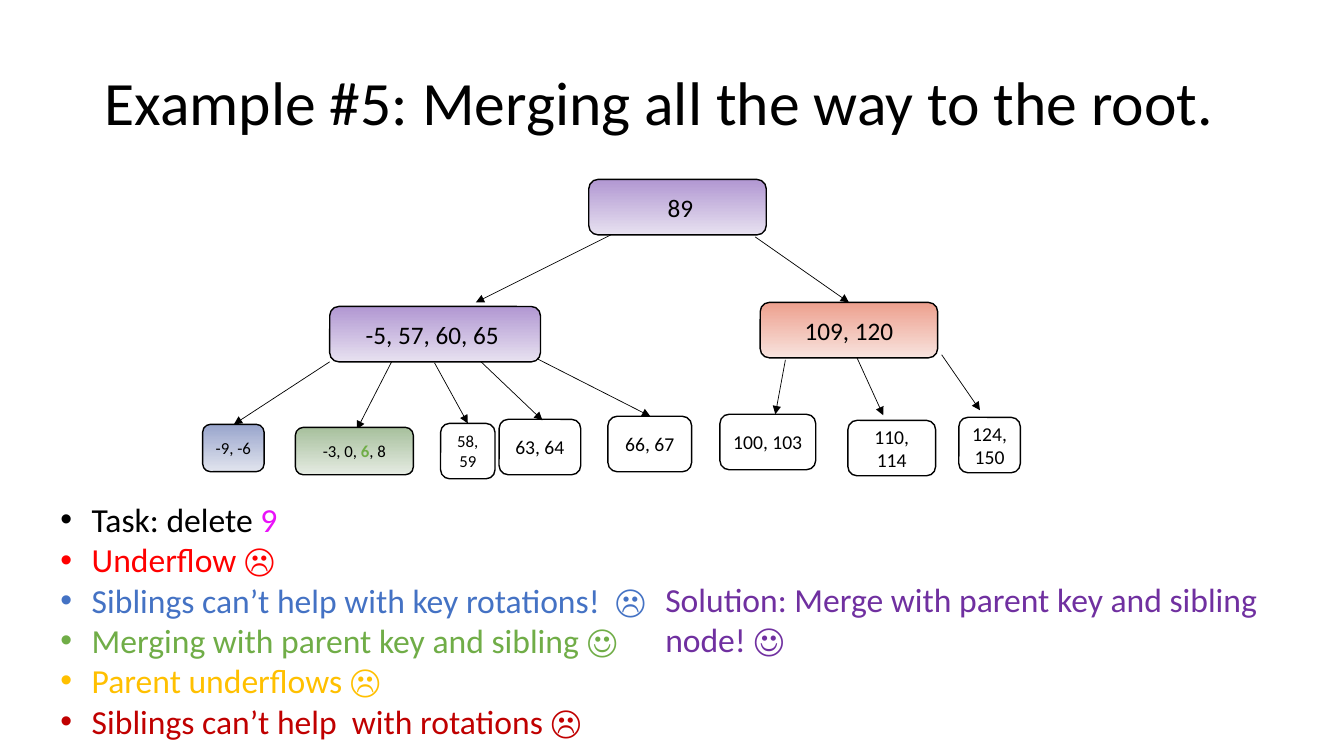
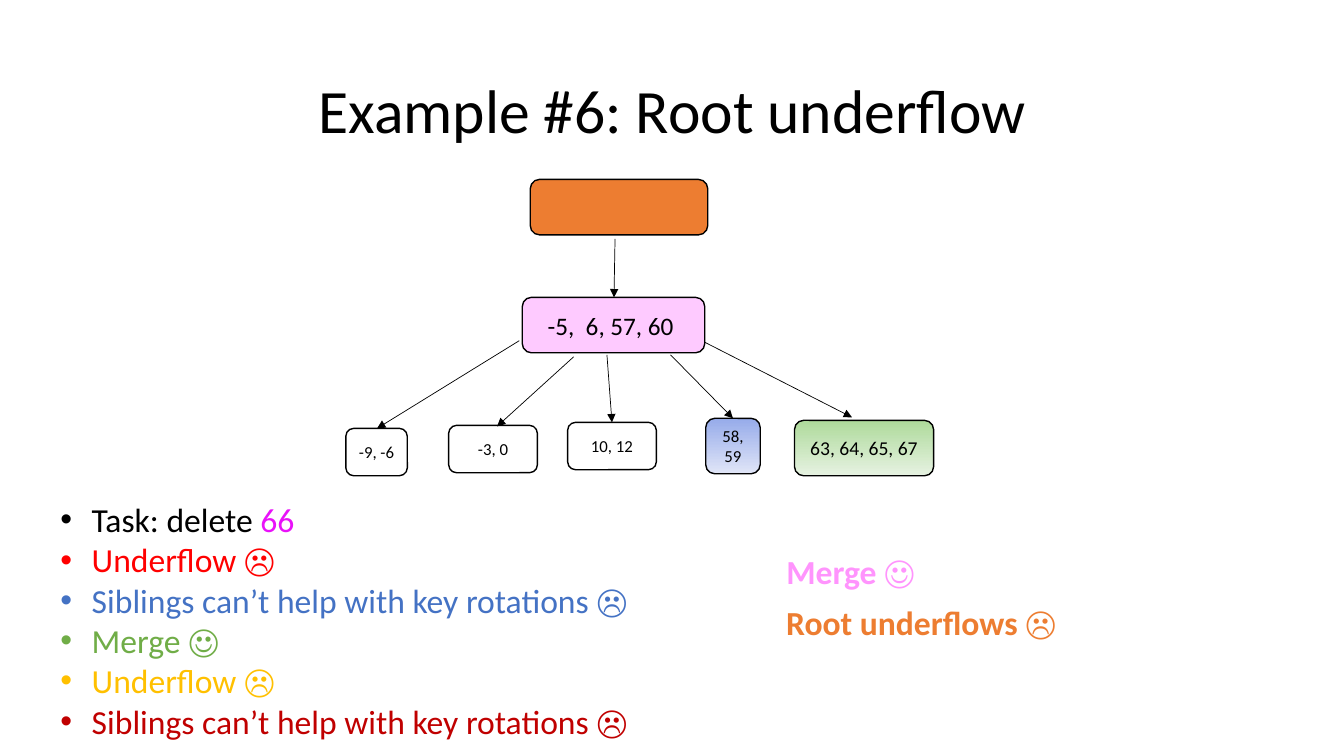
from lxml import etree
from pptx import Presentation
from pptx import util as u
from pptx.dml.color import RGBColor
from pptx.enum import shapes, text
from pptx.oxml import ns

COLOURS = {
    "black": "000000", "magenta": "E911F9", "red": "FF0000", "blue": "4472C4",
    "green": "70AD47", "gold": "FFC000", "crimson": "C00000", "purple": "7030A0",
    "orange": "ED7D31", "pink": "FF94FD", "pale pink": "FECAFF",
}
GRADIENTS = {
    "lilac": ("B197D2", "E7E1F0"), "coral": ("EDA08E", "F8E3DE"),
    "slate": ("99A5CC", "E1E4EE"), "sage": ("A7C09D", "E5EBE2"),
    "sky": ("96ABEA", "E0E5F7"), "leaf": ("AEDA9B", "E6F2E1"),
}
FONT = "Calibri"
COLUMN = ROW = u.Inches(0.1)
TALL, SHORT = 5.5, 4.7
LINE_COLOURS = ["red", "blue", "green", "gold", "crimson"]


def grid(left, top, width, height):
    return [round(left * COLUMN), round(top * ROW), round(width * COLUMN), round(height * ROW)]


def rgb(name):
    return RGBColor.from_string(COLOURS[name])


class TreeDeck:
    def __init__(self):
        self.presentation = Presentation()
        self.presentation.slide_width = u.Inches(13.33)
        self.presentation.slide_height = u.Inches(7.5)
        self.slide = None

    def add_slide(self, title, left, top):
        self.slide = self.presentation.slides.add_slide(self.presentation.slide_layouts[1])
        shape = self.slide.shapes.title
        self.place(shape, left, top, 115, 14.5)
        frame = shape.text_frame
        frame.vertical_anchor = text.MSO_ANCHOR.MIDDLE
        paragraph = frame.paragraphs[0]
        paragraph.alignment = text.PP_ALIGN.CENTER
        paragraph.line_spacing = 0.9
        self.add_runs(paragraph, 44, [(title, "black")])

    def place(self, shape, *box):
        shape.left, shape.top, shape.width, shape.height = grid(*box)

    def add_runs(self, paragraph, size, runs, bold=False):
        for words, colour, *strong in runs:
            run = paragraph.add_run()
            run.text = words
            run.font.name = FONT
            run.font.size = u.Pt(size)
            run.font.bold = bold or bool(strong)
            run.font.color.rgb = rgb(colour)

    def bullets(self, width, deleted_key, lines):
        shape = self.slide.placeholders[1]
        self.place(shape, 5, 49, width, 25.2)
        frame = shape.text_frame
        frame.auto_size = text.MSO_AUTO_SIZE.NONE
        items = [[("Task: delete ", "black"), (deleted_key, "magenta")]]
        items += [[item] for item in zip(lines, LINE_COLOURS)]
        for index, runs in enumerate(items):
            paragraph = frame.add_paragraph() if index else frame.paragraphs[0]
            paragraph.space_before = u.Pt(0)
            properties = paragraph._p.get_or_add_pPr()
            properties.set("marL", str(u.Inches(0.31)))
            properties.set("indent", str(-u.Inches(0.31)))
            etree.SubElement(properties, ns.qn("a:buFont")).set("typeface", "Arial")
            etree.SubElement(properties, ns.qn("a:buChar")).set("char", "•")
            self.add_runs(paragraph, 24, runs)

    def label(self, words, colour, box, bold=False):
        frame = self.slide.shapes.add_textbox(*grid(*box)).text_frame
        frame.word_wrap = True
        self.add_runs(frame.paragraphs[0], 24, [(words, colour)], bold)

    def node(self, keys, size, left, top, width, height=TALL, fill=None):
        shape = self.slide.shapes.add_shape(
            shapes.MSO_SHAPE.ROUNDED_RECTANGLE, *grid(left, top, width, height))
        shape.shadow.inherit = False
        shape.line.color.rgb = rgb("black")
        shape.line.width = u.Pt(1)
        if fill in GRADIENTS:
            shape.fill.gradient()
            shape.fill.gradient_angle = 270
            for stop, colour in zip(shape.fill.gradient_stops, GRADIENTS[fill]):
                stop.color.rgb = RGBColor.from_string(colour)
        elif fill:
            shape.fill.solid()
            shape.fill.fore_color.rgb = rgb(fill)
        else:
            shape.fill.background()
        if keys:
            frame = shape.text_frame
            frame.word_wrap = True
            frame.vertical_anchor = text.MSO_ANCHOR.MIDDLE
            paragraph = frame.paragraphs[0]
            paragraph.alignment = text.PP_ALIGN.CENTER
            self.add_runs(paragraph, size, [(keys, "black")] if isinstance(keys, str) else keys)

    def arrow(self, *ends):
        connector = self.slide.shapes.add_connector(shapes.MSO_CONNECTOR.STRAIGHT, *grid(*ends))
        connector.line.color.rgb = rgb("black")
        connector.line.width = u.Pt(0.5)
        properties = connector._element.spPr
        outline = properties.find(ns.qn("a:ln"))
        etree.SubElement(outline, ns.qn("a:tailEnd")).set("type", "triangle")
        etree.SubElement(properties, ns.qn("a:effectLst"))

    def tree(self, arrows, nodes):
        for ends in arrows:
            self.arrow(*ends)
        for node in nodes:
            self.node(*node)


def merging_slide(deck):
    deck.add_slide("Example #5: Merging all the way to the root.", 7.9, 3.2)
    deck.tree(
        [
            (60.6, 23.3, 47.2, 30), (74.9, 23.5, 84.2, 30),
            (32.7, 35.9, 23.2, 42.1), (39.2, 35.2, 35.4, 42.6),
            (43.1, 36, 46.4, 42), (47.4, 35.6, 53.8, 41.7),
            (53.1, 35.5, 64.5, 41.3), (77.9, 35.7, 76.9, 41.1),
            (85, 35.5, 87.6, 41.2), (93.4, 35.2, 97.2, 40.7),
        ],
        [
            (" 89", 18, 58.4, 17.8, 17.6, TALL, "lilac"),
            ("-5, 57, 60, 65 ", 18, 32.7, 30.4, 20.9, TALL, "lilac"),
            ("109, 120", 18, 75.4, 30, 17.6, TALL, "coral"),
            ("-9, -6", 12, 20.1, 42.1, 6.1, SHORT, "slate"),
            ([("-3, 0, ", "black"), ("6", "green", True), (", 8", "black")],
             12, 29.3, 42.4, 11.7, SHORT, "sage"),
            ("58, 59", 12, 43.7, 42, 5.4),
            ("63, 64", 14, 49.5, 41.6, 8.1),
            ("66, 67", 14, 60.3, 41.3, 8.3),
            ("100, 103", 14, 71.4, 41.1, 9.5),
            ("110, 114", 14, 84.1, 41.7, 8.7),
            ("124, 150", 14, 95.1, 41.4, 6.1),
        ])
    deck.bullets(120, "9", [
        "Underflow ☹", "Siblings can’t help with key rotations!  ☹",
        "Merging with parent key and sibling ☺", "Parent underflows ☹",
        "Siblings can’t help  with rotations ☹"])
    deck.label("Solution: Merge with parent key and sibling node! ☺", "purple",
               (65, 56.9, 66.7, 9.1))


def root_underflow_slide(deck):
    deck.add_slide("Example #6: Root underflow", 9.2, 4)
    deck.tree(
        [
            (61, 23.7, 60.9, 29.5), (51.5, 33.8, 37.4, 42.5),
            (56.9, 35.4, 49.3, 42.3), (60.2, 35.2, 60.7, 41.9),
            (66.5, 35.2, 72.7, 41.5), (69.6, 33.8, 84.5, 41.4),
        ],
        [
            ("", 18, 52.6, 17.8, 17.6, TALL, "orange"),
            ("-5,  6, 57, 60 ", 18, 51.8, 29.5, 18.1, TALL, "pale pink"),
            ("-9, -6", 12, 34.3, 42.5, 6.1, SHORT),
            ("-3, 0", 12, 44.5, 42.2, 8.8, SHORT),
            ("10, 12", 12, 56.3, 41.9, 8.8, SHORT),
            ("58, 59", 12, 70, 41.5, 5.4, TALL, "sky"),
            ("63, 64, 65, 67", 14, 78.8, 41.7, 13.8, TALL, "leaf"),
        ])
    siblings = "Siblings can’t help with key rotations ☹"
    deck.bullets(61.5, "66", ["Underflow ☹", siblings, "Merge ☺", "Underflow ☹", siblings])
    deck.label("Merge ☺", "pink", (77, 54.2, 36.1, 5), bold=True)
    deck.label("Root underflows ☹", "orange", (77, 59.2, 30, 5), bold=True)


def main():
    deck = TreeDeck()
    merging_slide(deck)
    root_underflow_slide(deck)
    deck.presentation.save("out.pptx")


if __name__ == "__main__":
    main()
